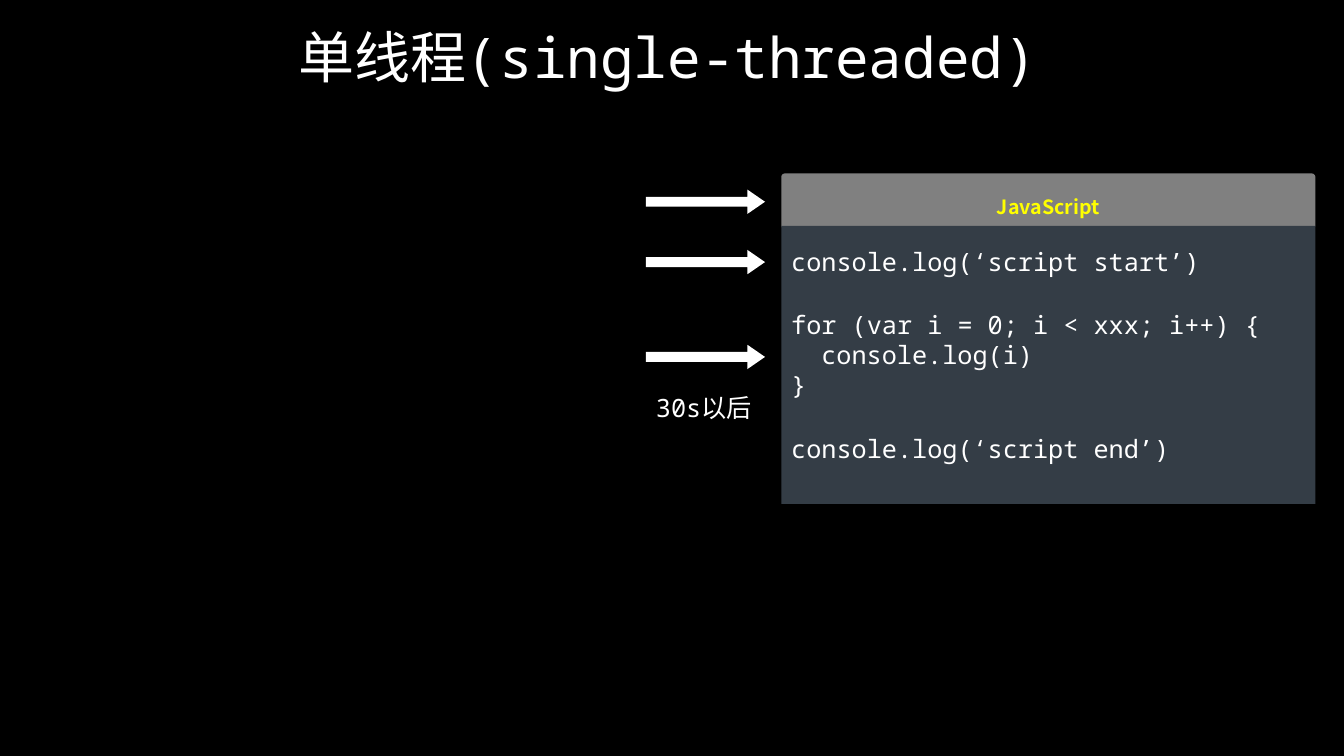
import dataclasses
import pptx
import pptx.util
import pptx.dml.color
import pptx.enum.shapes
import pptx.enum.text
import pptx.oxml.ns
import lxml.etree

Cm = pptx.util.Cm
Kind = pptx.enum.shapes.MSO_SHAPE
Text = pptx.enum.text


@dataclasses.dataclass(frozen=True)
class Theme:
    back: str = "000000"
    ink: str = "FFFFFF"
    head: str = "808080"
    body: str = "343D46"
    mark: str = "FFFF00"
    sans: str = "Noto Sans CJK SC"
    mono: str = "Noto Sans Mono"
    title: int = 40
    code: int = 18
    label: int = 14


@dataclasses.dataclass(frozen=True)
class Box:
    left: float
    top: float
    width: float
    height: float

    def size(self) -> tuple:
        return Cm(self.left), Cm(self.top), Cm(self.width), Cm(self.height)


@dataclasses.dataclass(frozen=True)
class Note:
    box: Box
    lines: tuple
    wrap: bool = False


THEME = Theme()
PANEL = 19.69
WIDE = 13.46
POINT = 16.28
INDENT = 0.76

NOTES = (
    Note(Box(PANEL, 6.07, 10.85, 1.02), ("console.log(‘script start’)",)),
    Note(Box(PANEL, 7.67, 12.78, 2.57),
         ("for (var i = 0; i < xxx; i++) {", "\tconsole.log(i)", "}")),
    Note(Box(PANEL, 10.8, 10.46, 1.02), ("console.log(‘script end’)",)),
    Note(Box(POINT, 9.75, 2.95, 1.02), ("30s以后",), True),
)
STEPS = (4.78, 6.3, 8.69)


def tint(code: str) -> pptx.dml.color.RGBColor:
    return pptx.dml.color.RGBColor.from_string(code)


def style(font, name: str, size: int, color: str, bold: bool = False) -> None:
    font.name, font.size, font.bold = name, pptx.util.Pt(size), bold
    font.color.rgb = tint(color)


def asian(run) -> None:
    tag = pptx.oxml.ns.qn("a:ea")
    lxml.etree.SubElement(run._r.get_or_add_rPr(), tag, typeface=THEME.sans)


def block(shapes, kind, box: Box, fill: str, *adjust: float):
    shape = shapes.add_shape(kind, *box.size())
    shape.shadow.inherit = False
    shape.fill.solid()
    shape.fill.fore_color.rgb = tint(fill)
    shape.line.fill.background()
    for spot, value in enumerate(adjust):
        shape.adjustments[spot] = value
    return shape


def panel(shapes) -> None:
    group = shapes.add_group_shape().shapes
    head = block(group, Kind.ROUNDED_RECTANGLE, Box(PANEL, 4.37, WIDE, 1.4),
                 THEME.head, 0.065)
    block(group, Kind.RECTANGLE, Box(PANEL, 5.69, WIDE, 7.01), THEME.body)
    head.text_frame.vertical_anchor = Text.MSO_ANCHOR.MIDDLE
    para = head.text_frame.paragraphs[0]
    para.text = "JavaScript"
    para.alignment = Text.PP_ALIGN.CENTER
    para.line_spacing = 1.5
    style(para.font, THEME.sans, THEME.label, THEME.mark, True)


def write(shapes, note: Note) -> None:
    frame = shapes.add_textbox(*note.box.size()).text_frame
    frame.word_wrap = note.wrap
    frame.auto_size = Text.MSO_AUTO_SIZE.SHAPE_TO_FIT_TEXT
    for spot, line in enumerate(note.lines):
        para = frame.add_paragraph() if spot else frame.paragraphs[0]
        run = para.add_run()
        run.text = line.lstrip("\t")
        if line.startswith("\t"):
            para._p.get_or_add_pPr().set("marL", str(Cm(INDENT)))
        style(para.font, THEME.mono, THEME.code, THEME.ink)
        asian(run)


def title(shape) -> None:
    box = Box(7.26, 0.43, 19.33, 1.96)
    shape.left, shape.top, shape.width, shape.height = box.size()
    frame = shape.text_frame
    frame.word_wrap = True
    frame.auto_size = Text.MSO_AUTO_SIZE.SHAPE_TO_FIT_TEXT
    frame.vertical_anchor = Text.MSO_ANCHOR.TOP
    para = frame.paragraphs[0]
    para.alignment = Text.PP_ALIGN.LEFT
    for text, name in (("单线程", THEME.sans), ("(single-threaded)", THEME.mono)):
        run = para.add_run()
        run.text = text
        style(run.font, name, THEME.title, THEME.ink)
        asian(run)


def main() -> None:
    deck = pptx.Presentation()
    deck.slide_width, deck.slide_height = Cm(33.87), Cm(19.05)
    slide = deck.slides.add_slide(deck.slide_layouts[5])
    slide.background.fill.solid()
    slide.background.fill.fore_color.rgb = tint(THEME.back)
    title(slide.shapes.title)
    panel(slide.shapes)
    for note in NOTES:
        write(slide.shapes, note)
    for top in STEPS:
        block(slide.shapes, Kind.RIGHT_ARROW, Box(POINT, top, 3, 0.61),
              THEME.ink, 0.413, 0.724)
    deck.save("out.pptx")


main()
